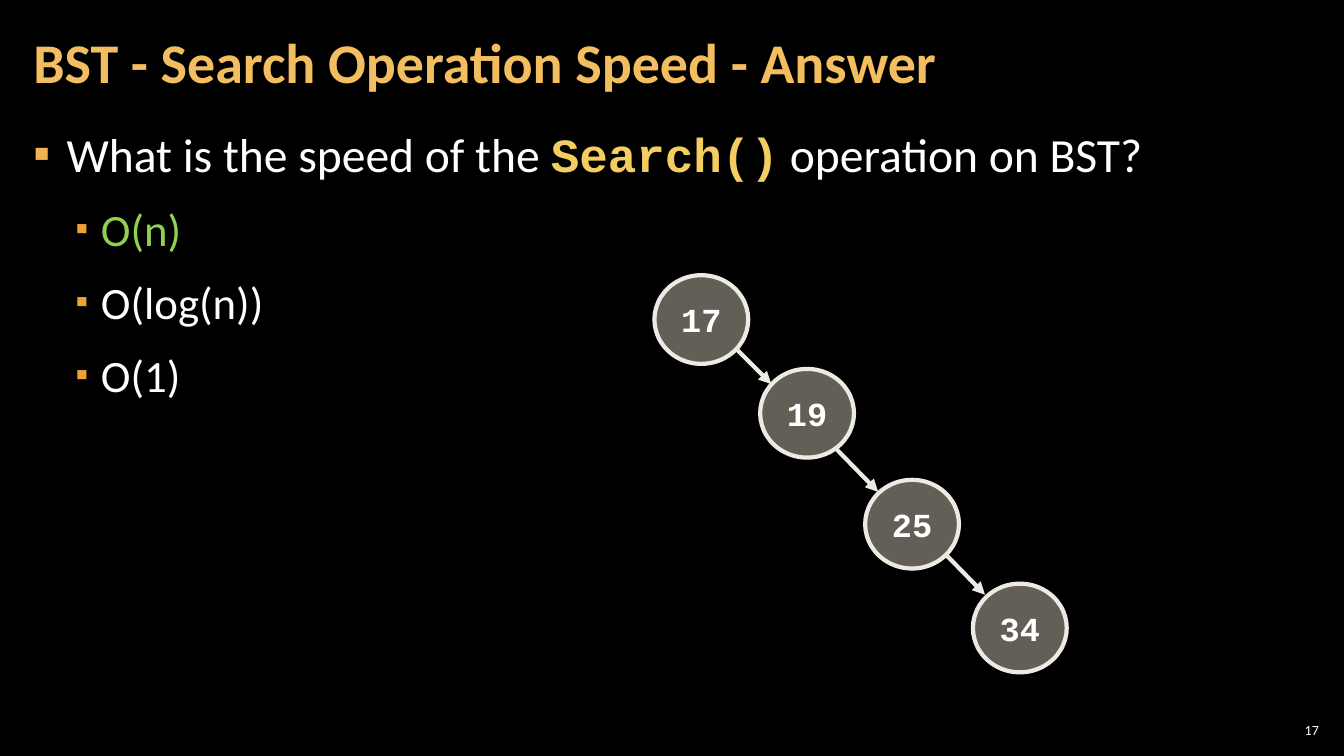
import pptx
import pptx.dml.color
import pptx.enum.shapes
import pptx.enum.text
import pptx.oxml
import pptx.oxml.ns
import pptx.util

RGBColor = pptx.dml.color.RGBColor
Pt = pptx.util.Pt
Inches = pptx.util.Inches
ANCHOR = pptx.enum.text.MSO_ANCHOR
ALIGN = pptx.enum.text.PP_ALIGN

BLACK = RGBColor(0x00, 0x00, 0x00)
WHITE = RGBColor(0xFF, 0xFF, 0xFF)
TITLE_GOLD = RGBColor(0xF3, 0xBE, 0x60)
CODE_GOLD = RGBColor(0xF3, 0xCD, 0x60)
BULLET_GOLD = RGBColor(0xF2, 0xB2, 0x54)
BULLET_ORANGE = RGBColor(0xF0, 0xA2, 0x2E)
ANSWER_GREEN = RGBColor(0x92, 0xD0, 0x50)
NODE_FILL = RGBColor(0xC7, 0xBF, 0xAC)
NODE_LINE = RGBColor(0xEC, 0xEA, 0xE3)

SLIDE_WIDTH = Inches(13.33)
SLIDE_HEIGHT = Inches(7.5)
NODE_SIZE = (6.98, 11.73)
NODES = [
    ("17", 48.69, 36.4),
    ("19", 56.56, 48.8),
    ("25", 64.37, 63.47),
    ("34", 72.39, 77.2),
]
LINKS = [
    (54.69, 46, 57.39, 50.8),
    (62.27, 59.47, 65.34, 65.07),
    (70.29, 73.2, 73.29, 78.67),
]


def across(percent):
    return round(SLIDE_WIDTH * percent / 100)


def down(percent):
    return round(SLIDE_HEIGHT * percent / 100)


def area(left, top, width, height):
    return across(left), down(top), across(width), down(height)


def add_xml(parent, tag, attributes):
    namespace = pptx.oxml.ns.nsdecls("a")
    element = pptx.oxml.parse_xml(f"<a:{tag} {namespace} {attributes}/>")
    parent.append(element)
    return element


def style(font, size=None, name=None, color=None, bold=None):
    font.size = size
    font.name = name
    font.bold = bold
    if color is not None:
        font.color.rgb = color


def frame_text(shape, anchor, side, end=0.04):
    frame = shape.text_frame
    frame.auto_size = pptx.enum.text.MSO_AUTO_SIZE.NONE
    frame.word_wrap = True
    frame.vertical_anchor = anchor
    frame.margin_left = frame.margin_right = Inches(side)
    frame.margin_top = frame.margin_bottom = Inches(end)
    return frame


def place(placeholder, bounds, anchor):
    placeholder.left, placeholder.top, placeholder.width, placeholder.height = bounds
    return frame_text(placeholder, anchor, 0.12)


def set_bullet(paragraph, indent, hanging, color, percent):
    properties = paragraph._p.get_or_add_pPr()
    properties.set("marL", str(Inches(indent)))
    properties.set("indent", str(-Inches(hanging)))
    paragraph.line_spacing = 1.05
    paragraph.space_after = Pt(6)
    add_xml(add_xml(properties, "buClr", ""), "srgbClr", f'val="{color}"')
    add_xml(properties, "buSzPct", f'val="{percent * 1000}"')
    add_xml(properties, "buFont", 'typeface="Wingdings"').set("typeface", "Calibri")
    add_xml(properties, "buChar", 'char="▪"')


def write_title(title):
    heading = place(title, area(1.58, 0.53, 78.54, 16.13), ANCHOR.MIDDLE).paragraphs[0]
    heading.text = "BST - Search Operation Speed - Answer"
    heading.alignment = ALIGN.LEFT
    heading.line_spacing = 0.9
    style(heading.font, Pt(40), "Calibri", TITLE_GOLD, True)


def write_question(body):
    frame = place(body, area(1.58, 15.6, 96.85, 82.4), ANCHOR.TOP)
    question = frame.paragraphs[0]
    set_bullet(question, 0.33, 0.33, BULLET_GOLD, 100)
    question.space_before = Pt(0)
    question.font.size = Pt(34)
    for text, name, color, bold in [
        ("What is the speed of the ", "Calibri", WHITE, False),
        ("Search()", "Courier New", CODE_GOLD, True),
        (" operation on BST?", "Calibri", WHITE, False),
    ]:
        part = question.add_run()
        part.text = text
        style(part.font, None, name, color, bold)

    for text, color in [("O(n)", ANSWER_GREEN), ("O(log(n))", WHITE), ("O(1)", WHITE)]:
        choice = frame.add_paragraph()
        choice.text = text
        choice.level = 1
        set_bullet(choice, 0.67, 0.25, BULLET_ORANGE, 80)
        choice.space_before = Pt(6)
        style(choice.font, Pt(32), "Calibri", color)


def add_node(slide, key, left, top):
    node = slide.shapes.add_shape(
        pptx.enum.shapes.MSO_SHAPE.OVAL, *area(left, top, *NODE_SIZE)
    )
    node.shadow.inherit = False
    node.fill.solid()
    node.fill.fore_color.rgb = NODE_FILL
    fill_color = node._element.spPr.find(".//" + pptx.oxml.ns.qn("a:srgbClr"))
    add_xml(fill_color, "alpha", 'val="50000"')
    node.line.color.rgb = NODE_LINE
    node.line.width = Pt(3)
    frame = frame_text(node, ANCHOR.MIDDLE, 0.1, 0.05)
    frame.word_wrap = False
    label = frame.paragraphs[0]
    label.text = key
    label.alignment = ALIGN.CENTER
    style(label.font, Pt(24), "Courier New", WHITE, True)


def add_link(slide, start_x, start_y, end_x, end_y):
    link = slide.shapes.add_connector(
        pptx.enum.shapes.MSO_CONNECTOR.STRAIGHT,
        across(start_x), down(start_y), across(end_x), down(end_y),
    )
    link.line.color.rgb = NODE_LINE
    link.line.width = Pt(3)
    add_xml(link.line._get_or_add_ln(), "tailEnd", 'type="triangle"')
    add_xml(link._element.spPr, "effectLst", "")


def add_slide_number(slide):
    box = slide.shapes.add_textbox(*area(94.9, 95.2, 3.53, 2.8))
    number = frame_text(box, ANCHOR.MIDDLE, 0.04).paragraphs[0]
    number.text = "17"
    number.alignment = ALIGN.RIGHT
    style(number.font, Pt(10), "Calibri", WHITE)


def main():
    presentation = pptx.Presentation()
    presentation.slide_width = SLIDE_WIDTH
    presentation.slide_height = SLIDE_HEIGHT
    slide = presentation.slides.add_slide(presentation.slide_layouts[1])
    slide.background.fill.solid()
    slide.background.fill.fore_color.rgb = BLACK

    write_title(slide.shapes.title)
    write_question(slide.placeholders[1])
    for node in NODES:
        add_node(slide, *node)
    for link in LINKS:
        add_link(slide, *link)
    add_slide_number(slide)
    presentation.save("out.pptx")


if __name__ == "__main__":
    main()
